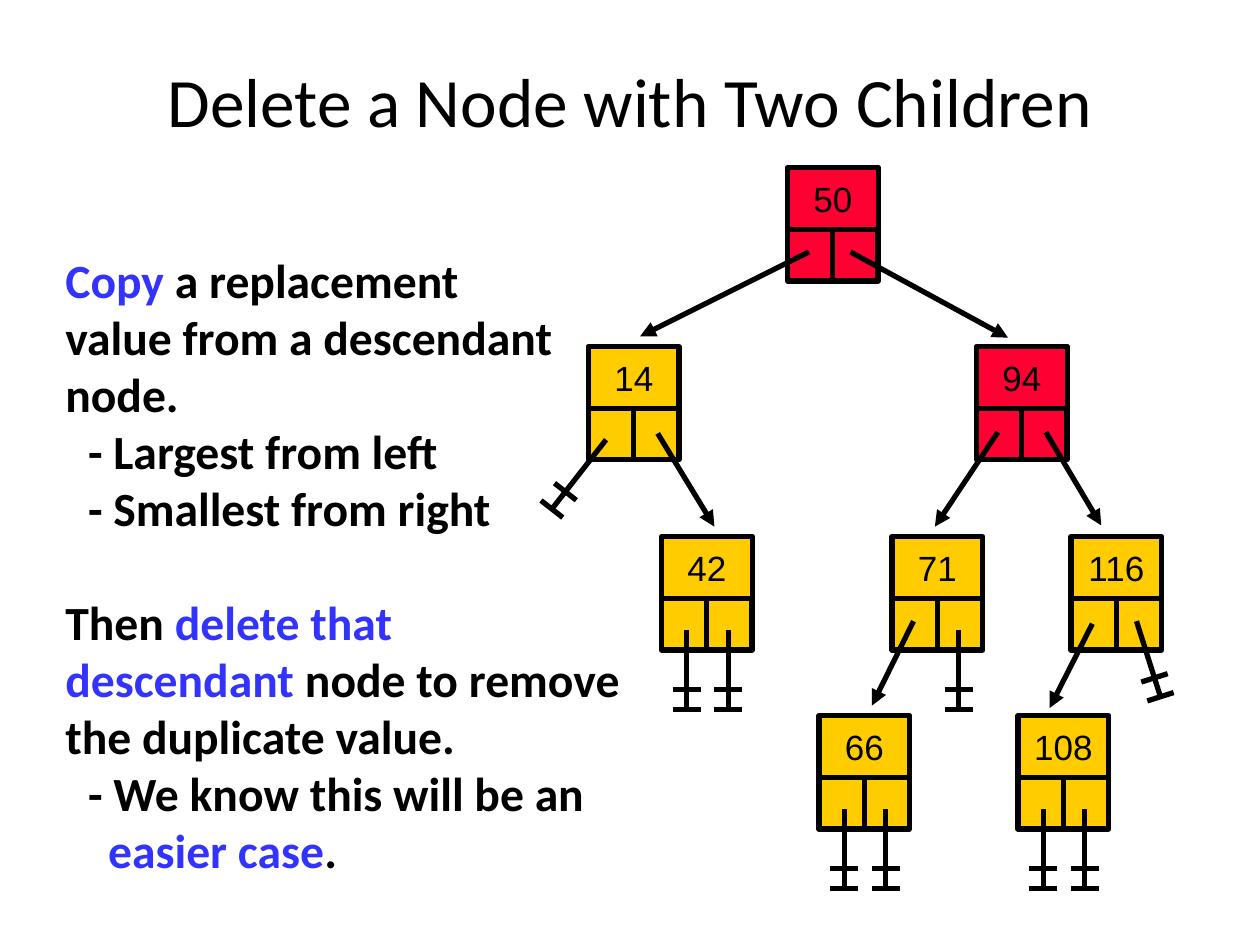
from dataclasses import dataclass
from math import hypot

from lxml.etree import SubElement
from pptx import Presentation
from pptx.dml.color import RGBColor
from pptx.enum.shapes import MSO_CONNECTOR, MSO_SHAPE
from pptx.enum.text import MSO_ANCHOR, PP_ALIGN
from pptx.oxml.ns import qn
from pptx.util import Inches, Pt

BLACK = RGBColor(0x00, 0x00, 0x00)
BLUE = RGBColor(0x33, 0x33, 0xFF)
GOLD = RGBColor(0xFF, 0xCC, 0x00)
RED = RGBColor(0xFF, 0x00, 0x33)
LINE_WIDTH = Pt(3)
NODE_W, VALUE_H, LINK_H = 0.72, 0.49, 0.41
BODY_PITCH = Pt(32.6)


@dataclass(frozen=True)
class Node:
    value: str
    left: float
    top: float
    fill: RGBColor = GOLD


@dataclass(frozen=True)
class Link:
    x1: float
    y1: float
    x2: float
    y2: float


@dataclass(frozen=True)
class Para:
    runs: tuple[tuple[str, RGBColor], ...]
    item: bool = False
    gap: bool = False


NODES = (
    Node("50", 6.25, 1.33, RED),
    Node("14", 4.67, 2.75),
    Node("94", 7.75, 2.75, RED),
    Node("42", 5.25, 4.26),
    Node("71", 7.08, 4.26),
    Node("116", 8.5, 4.26),
    Node("66", 6.5, 5.68),
    Node("108", 8.08, 5.68),
)
CHILD_LINKS = (
    Link(6.42, 2, 5.08, 2.67),
    Link(6.75, 2, 8, 2.68),
    Link(5.22, 3.44, 5.67, 4.18),
    Link(7.92, 3.43, 7.42, 4.18),
    Link(8.3, 3.43, 8.74, 4.17),
    Link(7.25, 4.93, 6.92, 5.6),
    Link(8.67, 4.95, 8.33, 5.62),
)
UPRIGHT_NULLS = ((5.45, 5), (5.78, 5), (7.61, 5), (6.7, 6.42), (7.03, 6.42), (8.28, 6.42), (8.61, 6.42))
NULL_LINKS = (
    Link(4.81, 3.49, 4.38, 4.04),
    Link(9.02, 4.93, 9.21, 5.53),
    *(Link(x, y, x, y + 0.63) for x, y in UPRIGHT_NULLS),
)
BODY = (
    Para((("Copy", BLUE), (" a replacement\nvalue from a descendant\nnode.", BLACK))),
    Para((("- Largest from left", BLACK),), item=True),
    Para((("- Smallest from right", BLACK),), item=True),
    Para((("Then ", BLACK), ("delete that descendant", BLUE),
          (" node to remove the duplicate value.", BLACK)), gap=True),
    Para((("- We know this will be an\n", BLACK), ("easier case", BLUE), (".", BLACK)), item=True),
)


def style_run(r, name: str, size: float, color: RGBColor, bold: bool = False) -> None:
    r.font.name, r.font.size, r.font.bold = name, Pt(size), bold
    r.font.color.rgb = color


def add_cell(shapes, left: float, top: float, width: float, height: float, fill: RGBColor):
    sp = shapes.add_shape(MSO_SHAPE.RECTANGLE, Inches(left), Inches(top), Inches(width), Inches(height))
    sp.shadow.inherit = False
    sp.fill.solid()
    sp.fill.fore_color.rgb = fill
    sp.line.color.rgb = BLACK
    sp.line.width = LINE_WIDTH
    return sp


def add_node(s, node: Node) -> None:
    shapes = s.shapes.add_group_shape().shapes
    for column in range(2):
        add_cell(shapes, node.left + column * NODE_W / 2, node.top + VALUE_H, NODE_W / 2, LINK_H, node.fill)
    tf = add_cell(shapes, node.left, node.top, NODE_W, VALUE_H, node.fill).text_frame
    tf.margin_left = tf.margin_right = 0
    tf.vertical_anchor = MSO_ANCHOR.MIDDLE
    tf.text = node.value
    p = tf.paragraphs[0]
    p.alignment = PP_ALIGN.CENTER
    style_run(p.runs[0], "Arial", 20, BLACK)


def add_line(shapes, link: Link, arrow: bool = False) -> None:
    line = shapes.add_connector(MSO_CONNECTOR.STRAIGHT, Inches(link.x1), Inches(link.y1),
                                Inches(link.x2), Inches(link.y2))
    line.line.color.rgb = BLACK
    line.line.width = LINE_WIDTH
    if arrow:
        SubElement(line.line._get_or_add_ln(), qn("a:tailEnd"), type="triangle")
    SubElement(line._element.spPr, qn("a:effectLst"))


def add_null(s, link: Link) -> None:
    shapes = s.shapes.add_group_shape().shapes
    add_line(shapes, link)
    dx, dy = link.x2 - link.x1, link.y2 - link.y1
    reach = 0.11 / hypot(dx, dy)
    for part in (0.75, 1):
        x, y = link.x1 + part * dx, link.y1 + part * dy
        add_line(shapes, Link(x - reach * dy, y + reach * dx, x + reach * dy, y - reach * dx))


def add_title(s, text: str) -> None:
    tf = s.shapes.add_textbox(Inches(0.75), Inches(0.42), Inches(8.5), Inches(0.75)).text_frame
    tf.word_wrap = True
    tf.vertical_anchor = MSO_ANCHOR.MIDDLE
    tf.text = text
    p = tf.paragraphs[0]
    p.alignment = PP_ALIGN.CENTER
    style_run(p.runs[0], "Calibri", 39.6, BLACK)


def add_body(s, paras: tuple[Para, ...]) -> None:
    tf = s.shapes.add_textbox(Inches(0.42), Inches(1.92), Inches(4.58), Inches(4.92)).text_frame
    tf.word_wrap = True
    tf.margin_top, tf.margin_right = Inches(0.07), Inches(0.05)
    for i, para in enumerate(paras):
        p = tf.add_paragraph() if i else tf.paragraphs[0]
        p.line_spacing = BODY_PITCH
        if para.gap:
            p.space_before = BODY_PITCH
        if para.item:
            pPr = p._p.get_or_add_pPr()
            pPr.set("marL", str(Inches(0.34)))
            pPr.set("indent", str(Inches(-0.16)))
        for text, color in para.runs:
            for n, part in enumerate(text.split("\n")):
                if n:
                    p.add_line_break()
                if part:
                    r = p.add_run()
                    r.text = part
                    style_run(r, "Calibri", 27.2, color, bold=True)


def main() -> None:
    prs = Presentation()
    prs.slide_width, prs.slide_height = Inches(10), Inches(7.5)
    s = prs.slides.add_slide(prs.slide_layouts[6])
    add_title(s, "Delete a Node with Two Children")
    add_body(s, BODY)
    for node in NODES:
        add_node(s, node)
    for link in CHILD_LINKS:
        add_line(s.shapes, link, arrow=True)
    for link in NULL_LINKS:
        add_null(s, link)
    prs.save("out.pptx")


if __name__ == "__main__":
    main()
